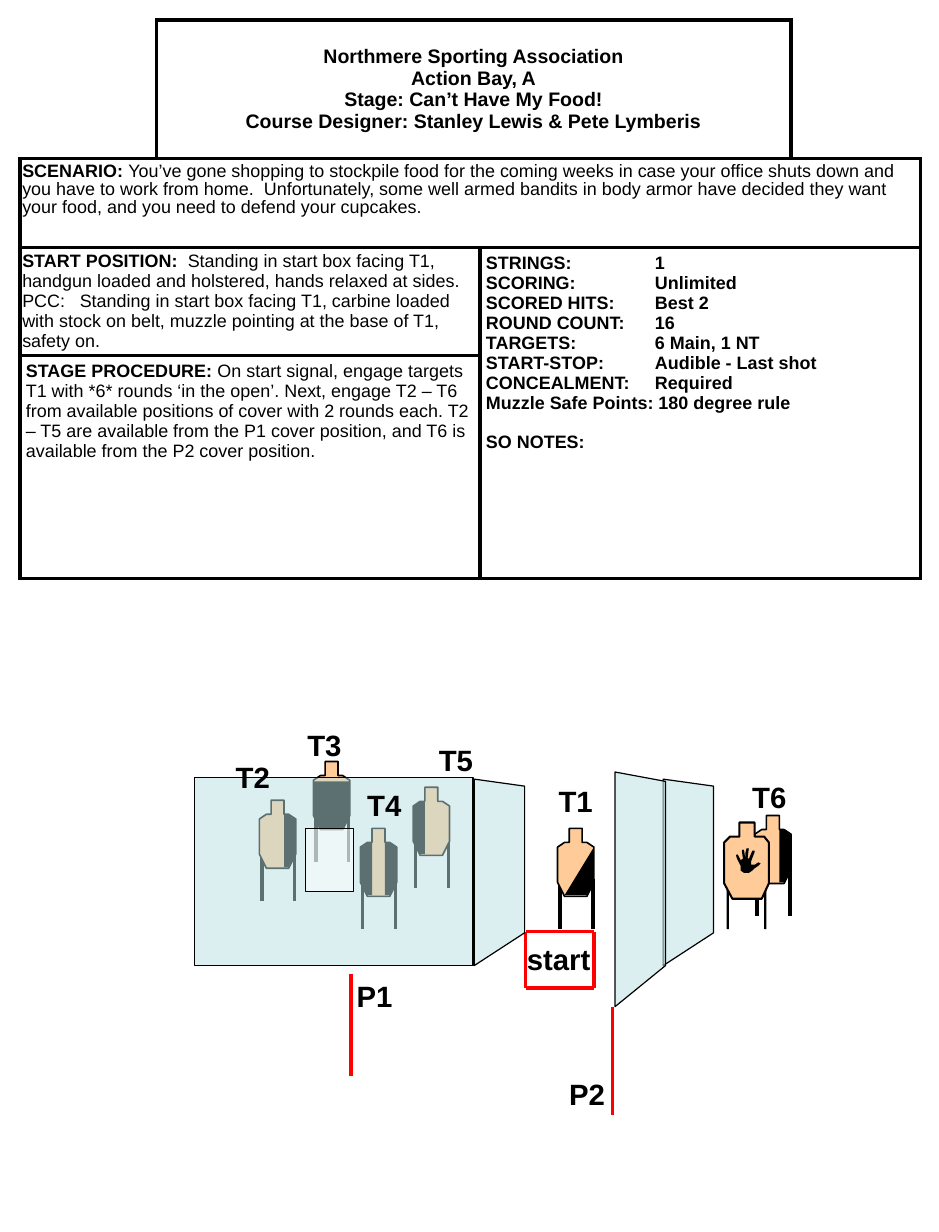
from dataclasses import dataclass
from typing import NamedTuple

from lxml import etree
from pptx import Presentation
from pptx.dml.color import RGBColor
from pptx.enum.shapes import MSO_CONNECTOR, MSO_SHAPE
from pptx.enum.text import MSO_ANCHOR, PP_ALIGN
from pptx.oxml.ns import qn
from pptx.util import Inches, Pt

STRAIGHT = MSO_CONNECTOR.STRAIGHT
RECT = MSO_SHAPE.RECTANGLE
CENTER = PP_ALIGN.CENTER
MIDDLE = MSO_ANCHOR.MIDDLE


@dataclass(frozen=True)
class Theme:
    font: str = "Arial"
    body: float = 11
    heading: float = 12
    label: float = 18
    black: str = "000000"
    white: str = "FFFFFF"
    card: str = "FFCC99"
    wall: str = "BBE0E3"
    mark: str = "FF0000"
    border: float = 2.25


T = Theme()


class Para(NamedTuple):
    bold: str
    plain: str = ""
    tab: float = 0
    before: float = 0
    spacing: float = 1


class Block(NamedTuple):
    """Text of one table cell, merged from (row, col) to (last_row, last_col)."""
    row: int
    col: int
    last_row: int
    last_col: int
    margins: tuple
    paras: list
    size: float = T.body
    centered: bool = False


class Target(NamedTuple):
    x: float
    y: float
    shades: tuple


class Label(NamedTuple):
    text: str
    x: float
    y: float
    w: float = 0.58


COLS = (1.16, 2.76, 2.65, 1.1)
ROWS = (1.18, 0.76, 0.92, 1.9)
FACTS = (("STRINGS:", "1"), ("SCORING:", "Unlimited"), ("SCORED HITS:", "Best 2"),
         ("ROUND COUNT:", "16"), ("TARGETS:", "6 Main, 1 NT"),
         ("START-STOP:", "Audible - Last shot"), ("CONCEALMENT:", "Required"))
BLOCKS = (
    Block(0, 1, 0, 2, (0.05, 0.05), [
        Para("Northmere Sporting Association"), Para("Action Bay, A"),
        Para("Stage: Can’t Have My Food!"),
        Para("Course Designer: Stanley Lewis & Pete Lymberis")], T.heading, True),
    Block(1, 0, 1, 3, (0.02, 0.04), [Para(
        "SCENARIO: ", "You’ve gone shopping to stockpile food for the coming weeks in case "
        "your office shuts down and you have to work from home.  Unfortunately, some well armed "
        "bandits in body armor have decided they want your food, and you need to defend your "
        "cupcakes.", spacing=0.9)]),
    Block(2, 0, 2, 1, (0.02, 0.03), [
        Para("START POSITION:\t", "Standing in start box facing T1, handgun loaded and "
             "holstered, hands relaxed at sides.", 1.41),
        Para("", "PCC:\tStanding in start box facing T1, carbine loaded with stock on belt, "
             "muzzle pointing at the base of T1, safety on.", 0.49)]),
    Block(2, 2, 3, 3, (0.05, 0.05), [
        *(Para(f"{name}\t{value}", tab=1.44) for name, value in FACTS),
        Para("Muzzle Safe Points: 180 degree rule"), Para("SO NOTES:", before=12)]),
    Block(3, 0, 3, 1, (0.05, 0.05), [Para(
        "STAGE PROCEDURE: ", "On start signal, engage targets T1 with *6* rounds ‘in the open’. "
        "Next, engage T2 – T6 from available positions of cover with 2 rounds each. T2 – T5 are "
        "available from the P1 cover position, and T6 is available from the P2 cover position.")]),
)

CARD_W = 0.31
CARD = ((0.1, 0), (0.21, 0), (0.21, 0.12), (0.25, 0.12), (0.31, 0.16), (0.31, 0.46),
        (0.25, 0.58), (0.06, 0.58), (0, 0.46), (0, 0.16), (0.06, 0.12), (0.1, 0.12))
LEFT = ((0.1, 0.12), (0.1, 0.57), (0.06, 0.57), (0, 0.46), (0, 0.16), (0.06, 0.12))
RIGHT = tuple((CARD_W - x, y) for x, y in LEFT)
LOW = ((0, 0.17), (0.31, 0.17), (0.31, 0.46), (0.25, 0.58), (0.06, 0.58), (0, 0.46))
DIAGONAL = ((0.31, 0.16), (0.31, 0.46), (0.25, 0.57), (0.06, 0.57))
TARGETS = (Target(3.52, 6.71, (LEFT,)), Target(2.21, 6.82, (RIGHT,)),
           Target(3.07, 7.06, (LEFT, RIGHT)), Target(2.67, 6.49, (LOW,)),
           Target(6.43, 6.95, (RIGHT,)), Target(4.75, 7.06, (DIAGONAL,)))
NO_SHOOT = ((6.3, 7.01), (6.43, 7.01), (6.43, 7.13), (6.51, 7.13), (6.55, 7.18), (6.55, 7.53),
            (6.49, 7.66), (6.24, 7.66), (6.17, 7.53), (6.17, 7.18), (6.22, 7.13), (6.3, 7.13))
HAND = ((6.41, 7.42), (6.38, 7.44), (6.34, 7.44), (6.31, 7.42), (6.31, 7.38), (6.3, 7.36),
        (6.28, 7.32), (6.27, 7.29), (6.28, 7.28), (6.29, 7.29), (6.31, 7.33), (6.33, 7.32),
        (6.32, 7.25), (6.33, 7.24), (6.34, 7.25), (6.35, 7.32), (6.35, 7.27), (6.36, 7.23),
        (6.38, 7.23), (6.37, 7.31), (6.38, 7.32), (6.41, 7.25), (6.43, 7.25), (6.43, 7.26),
        (6.4, 7.34), (6.4, 7.37), (6.43, 7.37), (6.46, 7.35), (6.48, 7.36), (6.46, 7.38),
        (6.43, 7.4))
WALL_SIDE = ((0, 1.59), (0, 0), (0.43, 0.06), (0.43, 1.31))
WALL_NEAR = ((0, 2), (0, 0), (0.43, 0.08), (0.43, 1.65))
WALLS = ((4.04, 6.64, WALL_SIDE), (5.65, 6.64, WALL_SIDE), (5.24, 6.58, WALL_NEAR))
BOX_L, BOX_T, BOX_R, BOX_B = 4.48, 7.94, 5.06, 8.42
MARKS = ((BOX_L, BOX_T, BOX_R, BOX_T), (BOX_R, BOX_T, BOX_R, BOX_B),
         (BOX_L, BOX_T, BOX_L, BOX_B), (BOX_L, BOX_B, BOX_R, BOX_B),
         (5.22, 8.58, 5.22, 9.5), (2.99, 8.3, 2.99, 9.17))
LABELS = (Label("start", 4.39, 7.97, 0.86), Label("P2", 4.75, 9.12), Label("P1", 2.94, 8.29),
          Label("T1", 4.66, 6.63), Label("T2", 1.91, 6.42), Label("T3", 2.52, 6.15),
          Label("T6", 6.31, 6.59), Label("T5", 3.64, 6.28), Label("T4", 3.03, 6.66))


def rgb(color: str) -> RGBColor:
    return RGBColor.from_string(color)


def paint(sp, fill: str, line: float = 0, alpha: int = 100) -> None:
    sp.shadow.inherit = False
    sp.fill.solid()
    sp.fill.fore_color.rgb = rgb(fill)
    if alpha < 100:
        color = sp.fill._xPr.find(qn("a:solidFill"))[0]
        etree.SubElement(color, qn("a:alpha"), val=str(alpha * 1000))
    if line:
        sp.line.color.rgb = rgb(T.black)
        sp.line.width = Pt(line)
    else:
        sp.line.fill.background()


def add_line(s, ends: tuple, color: str, width: float) -> None:
    sp = s.shapes.add_connector(STRAIGHT, *map(Inches, ends))
    sp.line.color.rgb = rgb(color)
    sp.line.width = Pt(width)
    etree.SubElement(sp._element.spPr, qn("a:effectLst"))


def add_rect(s, box: tuple, fill: str, line: float = 0, alpha: int = 100) -> None:
    paint(s.shapes.add_shape(RECT, *map(Inches, box)), fill, line, alpha)


def add_outline(s, x: float, y: float, points: tuple, fill: str, line: float = 0,
                alpha: int = 100) -> None:
    first, *rest = [(Inches(x + dx), Inches(y + dy)) for dx, dy in points]
    builder = s.shapes.build_freeform(*first)
    builder.add_line_segments(rest, close=True)
    paint(builder.convert_to_shape(), fill, line, alpha)


def add_target(s, t: Target) -> None:
    for dx in (0.02, 0.3):
        add_line(s, (t.x + dx, t.y + 0.43, t.x + dx, t.y + 0.86), T.black, 2.25)
    add_outline(s, t.x, t.y, CARD, T.card, 1)
    for shade in t.shades:
        add_outline(s, t.x, t.y, shade, T.black)


def add_run(p, text: str, size: float, bold: bool) -> None:
    r = p.add_run()
    r.text = text
    r.font.name, r.font.size, r.font.bold = T.font, Pt(size), bold
    r.font.color.rgb = rgb(T.black)


def add_label(s, label: Label) -> None:
    box = s.shapes.add_textbox(*map(Inches, (label.x, label.y, label.w, 0.4)))
    box.text_frame.word_wrap = True
    add_run(box.text_frame.paragraphs[0], label.text, T.label, True)


def style_cell(cell, sides: str) -> None:
    """Draw borders on the named sides (of L, R, T, B) and fill the cell."""
    tc_pr = cell._tc.get_or_add_tcPr()
    for side in "LRTB":
        ln = etree.SubElement(tc_pr, qn(f"a:ln{side}"), w=str(Pt(T.border)))
        if side in sides:
            fill = etree.SubElement(ln, qn("a:solidFill"))
            etree.SubElement(fill, qn("a:srgbClr"), val=T.black)
        else:
            etree.SubElement(ln, qn("a:noFill"))
    cell.fill.solid()
    cell.fill.fore_color.rgb = rgb(T.white)


def fill_block(table, block: Block) -> None:
    cell = table.cell(block.row, block.col)
    cell.merge(table.cell(block.last_row, block.last_col))
    cell.margin_left = cell.margin_right = Inches(block.margins[0])
    cell.margin_top = cell.margin_bottom = Inches(block.margins[1])
    if block.centered:
        cell.vertical_anchor = MIDDLE
    tf = cell.text_frame
    for i, para in enumerate(block.paras):
        p = tf.add_paragraph() if i else tf.paragraphs[0]
        p.line_spacing = para.spacing
        if para.before:
            p.space_before = Pt(para.before)
        if block.centered:
            p.alignment = CENTER
        if para.tab:
            tabs = etree.SubElement(p._p.get_or_add_pPr(), qn("a:tabLst"))
            etree.SubElement(tabs, qn("a:tab"), pos=str(Inches(para.tab)), algn="l")
        for text, bold in ((para.bold, True), (para.plain, False)):
            if text:
                add_run(p, text, block.size, bold)


def add_briefing(s) -> None:
    box = map(Inches, (0.17, 0.17, sum(COLS), sum(ROWS)))
    table = s.shapes.add_table(len(ROWS), len(COLS), *box).table
    table.first_row = table.horz_banding = False
    for col, width in zip(table.columns, COLS):
        col.width = Inches(width)
    for row, height in zip(table.rows, ROWS):
        row.height = Inches(height)
    corners = {(0, 0): "RB", (0, len(COLS) - 1): "LB"}
    for i in range(len(ROWS)):
        for j in range(len(COLS)):
            style_cell(table.cell(i, j), corners.get((i, j), "LRTB"))
    for block in BLOCKS:
        fill_block(table, block)


def main() -> None:
    prs = Presentation()
    prs.slide_width, prs.slide_height = Inches(8), Inches(10.5)
    s = prs.slides.add_slide(prs.slide_layouts[6])
    add_briefing(s)
    for target in TARGETS:
        add_target(s, target)
    for x in (6.19, 6.51):
        add_rect(s, (x, 7.49, 0.02, 0.43), T.black)
    add_outline(s, 0, 0, NO_SHOOT, T.card, 1.25)
    add_outline(s, 0, 0, HAND, T.black)
    for ends in MARKS:
        add_line(s, ends, T.mark, 2)
    add_rect(s, (1.66, 6.63, 2.37, 1.6), T.wall, 0.75, 50)
    add_rect(s, (2.6, 7.06, 0.41, 0.54), T.white, 0.75, 50)
    for x, y, points in WALLS:
        add_outline(s, x, y, points, T.wall, 0.75, 50)
    for label in LABELS:
        add_label(s, label)
    prs.save("out.pptx")


if __name__ == "__main__":
    main()
